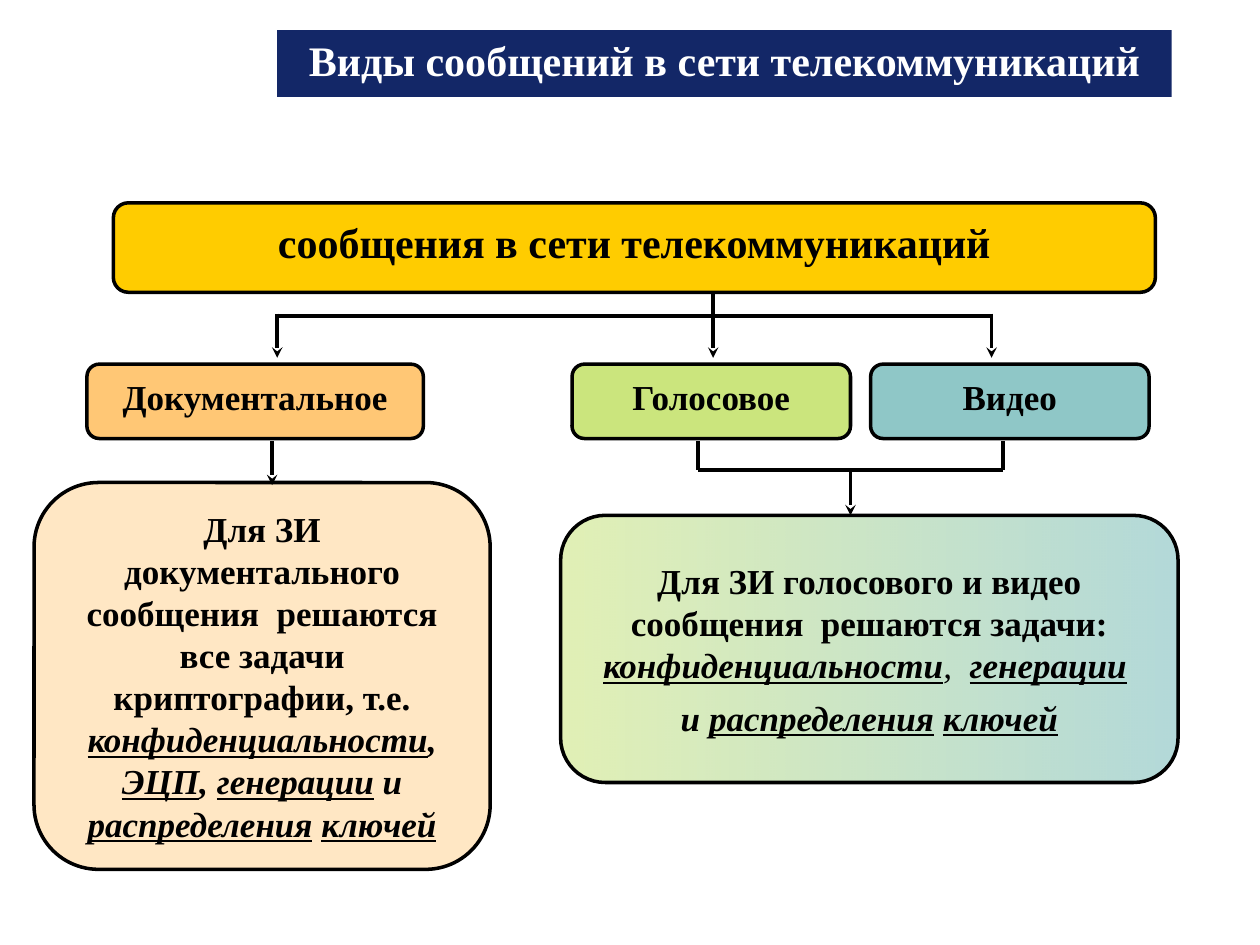
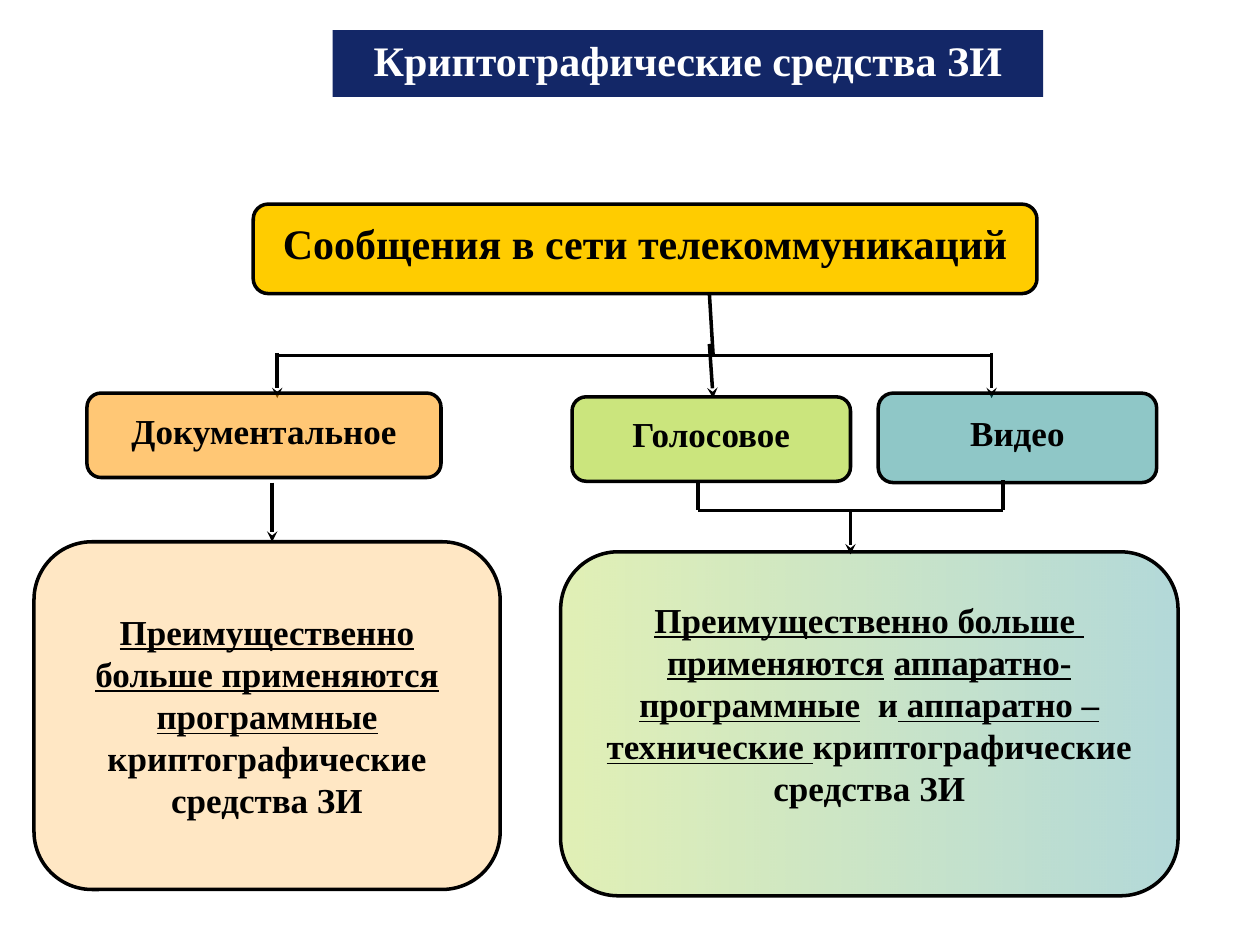
from dataclasses import dataclass
from typing import NamedTuple

from lxml.etree import SubElement
from pptx import Presentation
from pptx.dml.color import RGBColor
from pptx.enum.shapes import MSO_CONNECTOR as Connector
from pptx.enum.shapes import MSO_SHAPE as Preset
from pptx.enum.text import MSO_ANCHOR as Anchor
from pptx.enum.text import PP_ALIGN as Align
from pptx.oxml.ns import qn
from pptx.util import Inches, Pt

# Slide grid: 100 columns by 75 rows
WIDTH, HEIGHT = Inches(10), Inches(7.5)
COLUMN, ROW = WIDTH / 100, HEIGHT / 75

COLORS = {
    "navy": "132767",
    "white": "FFFFFF",
    "black": "000000",
    "yellow": "FFCC00",
    "orange": "FF9900",
    "green": "99CC00",
    "teal": "008080",
}
SERIF, SANS = "Times New Roman", "Arial"
LINE_WIDTH = Pt(2)


class Fill(NamedTuple):
    color: str
    opacity: int = 100


class Area(NamedTuple):
    left: float
    top: float
    width: float
    height: float


class Point(NamedTuple):
    column: float
    row: float


class Piece(NamedTuple):
    """Text with style letters: b bold, i italic, u underlined, s sans navy."""
    text: str
    style: str = "b"


@dataclass(frozen=True)
class BoxStyle:
    fills: tuple[Fill, ...]
    size: int = 20
    spacing: float = 1.0
    text_color: str = "black"
    preset: Preset = Preset.ROUNDED_RECTANGLE
    anchor: Anchor = Anchor.MIDDLE
    padding: float = 0.5
    outlined: bool = True


@dataclass(frozen=True)
class Box:
    area: Area
    style: BoxStyle
    paragraphs: tuple[tuple[Piece, ...], ...]
    extra_bottom: float = 0


@dataclass(frozen=True)
class Scheme:
    boxes: tuple[Box, ...]
    stem_top: Point
    middle_start: Point
    split_row: float
    split_tip: float
    document_rows: tuple[float, float]
    merge_rows: tuple[float, float, float]


TITLE = BoxStyle((Fill("navy"),), 24, 0.8, "white", Preset.RECTANGLE,
                 Anchor.BOTTOM, 1, False)
ROOT = BoxStyle((Fill("yellow"),), 24, 0.7)
DOCUMENT = BoxStyle((Fill("orange", 54),), spacing=0.7)
VOICE = BoxStyle((Fill("green", 51),), spacing=0.7)
VIDEO = BoxStyle((Fill("teal", 44),), spacing=0.7)
DOCUMENT_NOTE = BoxStyle((Fill("orange", 23),))
MEDIA_NOTE = BoxStyle((Fill("green", 29), Fill("teal", 30)))

# Columns of the branches
DOCUMENT_X, MIDDLE_X, VIDEO_X = 22, 56.6, 78.7
DOCUMENT_ARROW_X = 21.6
VOICE_OUT, MERGE_X, VIDEO_OUT = 55.4, 67.5, 79.6


def rgb(name: str) -> RGBColor:
    return RGBColor.from_string(COLORS[name])


def label(area: Area, style: BoxStyle, text: str) -> Box:
    return Box(area, style, ((Piece(text),),))


def paint(shape, fills: tuple[Fill, ...]) -> None:
    if len(fills) == 1:
        shape.fill.solid()
        shape.fill.fore_color.rgb = rgb(fills[0].color)
    else:
        shape.fill.gradient()
        shape.fill.gradient_angle = 0
        for stop, fill in zip(shape.fill.gradient_stops, fills):
            stop.color.rgb = rgb(fill.color)
    for color, fill in zip(shape.element.spPr.iter(qn("a:srgbClr")), fills):
        if fill.opacity < 100:
            SubElement(color, qn("a:alpha"), val=str(fill.opacity * 1000))


def write(paragraph, pieces: tuple[Piece, ...], style: BoxStyle) -> None:
    paragraph.alignment = Align.CENTER
    paragraph.line_spacing = style.spacing
    font = paragraph.font
    font.name, font.size, font.bold = SERIF, Pt(style.size), True
    font.color.rgb = rgb(style.text_color)
    for piece in pieces:
        run = paragraph.add_run()
        run.text = piece.text
        if "b" not in piece.style:
            run.font.bold = False
        if "i" in piece.style:
            run.font.italic = True
        if "u" in piece.style:
            run.font.underline = True
        if "s" in piece.style:
            run.font.name = SANS
            run.font.color.rgb = rgb("navy")


def draw_box(slide, box: Box) -> None:
    area, style = box.area, box.style
    shape = slide.shapes.add_shape(
        style.preset, round(area.left * COLUMN), round(area.top * ROW),
        round(area.width * COLUMN), round(area.height * ROW))
    shape.shadow.inherit = False
    paint(shape, style.fills)
    if style.outlined:
        shape.line.color.rgb = rgb("black")
        shape.line.width = LINE_WIDTH
    else:
        shape.line.fill.background()

    frame = shape.text_frame
    frame.word_wrap = True
    frame.vertical_anchor = style.anchor
    frame.margin_left = frame.margin_right = round(COLUMN)
    frame.margin_top = round(style.padding * ROW)
    frame.margin_bottom = round((style.padding + box.extra_bottom) * ROW)
    for index, pieces in enumerate(box.paragraphs):
        paragraph = frame.add_paragraph() if index else frame.paragraphs[0]
        if index:
            paragraph.space_before = Pt(6)
        write(paragraph, pieces, style)


def draw_line(slide, start: Point, end: Point, arrow: bool = False) -> None:
    connector = slide.shapes.add_connector(
        Connector.STRAIGHT, round(start.column * COLUMN), round(start.row * ROW),
        round(end.column * COLUMN), round(end.row * ROW))
    connector.line.color.rgb = rgb("black")
    connector.line.width = LINE_WIDTH
    properties = connector.element.spPr
    if arrow:
        SubElement(properties.find(qn("a:ln")), qn("a:tailEnd"), type="stealth")
    SubElement(properties, qn("a:effectLst"))


def draw_split(slide, scheme: Scheme) -> None:
    row = scheme.split_row
    draw_line(slide, scheme.stem_top, Point(MIDDLE_X, row))
    draw_line(slide, Point(DOCUMENT_X, row), Point(VIDEO_X, row))
    starts = (Point(DOCUMENT_X, row - 0.2), Point(VIDEO_X, row - 0.2),
              scheme.middle_start)
    for start, column in zip(starts, (DOCUMENT_X, VIDEO_X, MIDDLE_X)):
        draw_line(slide, start, Point(column, scheme.split_tip), True)


def draw_merge(slide, scheme: Scheme) -> None:
    top, bar, tip = scheme.merge_rows
    for column in (VOICE_OUT, VIDEO_OUT):
        draw_line(slide, Point(column, top), Point(column, bar))
        draw_line(slide, Point(column, bar), Point(MERGE_X, bar))
    draw_line(slide, Point(MERGE_X, bar), Point(MERGE_X, tip), True)


def draw_scheme(presentation, scheme: Scheme) -> None:
    slide = presentation.slides.add_slide(presentation.slide_layouts[6])
    draw_split(slide, scheme)
    for box in scheme.boxes:
        draw_box(slide, box)
    start, end = scheme.document_rows
    draw_line(slide, Point(DOCUMENT_ARROW_X, start),
              Point(DOCUMENT_ARROW_X, end), True)
    draw_merge(slide, scheme)


# Kinds of messages and the tasks for each
MESSAGE_KINDS = Scheme(
    boxes=(
        label(Area(22, 2.4, 71, 5.3), TITLE,
              "Виды сообщений в сети телекоммуникаций"),
        label(Area(9, 16.1, 82.7, 7.1), ROOT,
              "сообщения в сети телекоммуникаций"),
        label(Area(6.9, 28.9, 26.7, 5.9), DOCUMENT, "Документальное"),
        label(Area(45.4, 28.9, 22.1, 5.9), VOICE, "Голосовое"),
        label(Area(69.1, 28.9, 22.1, 5.9), VIDEO, "Видео"),
        Box(Area(2.7, 38.3, 36.2, 30.7), DOCUMENT_NOTE, ((
            Piece("Для ЗИ документального сообщения  решаются все задачи "
                  "криптографии, т.е. "),
            Piece("конфиденциальности", "biu"), Piece(", ", "bi"),
            Piece("ЭЦП", "biu"), Piece(", ", "bi"),
            Piece("генерации", "biu"), Piece(" и ", "bi"),
            Piece("распределения", "biu"), Piece(" ", "bi"),
            Piece("ключей", "biu")),)),
        Box(Area(44.5, 40.9, 49, 21.2), MEDIA_NOTE, (
            (Piece("Для ЗИ голосового и видео сообщения  решаются задачи: "),
             Piece("конфиденциальности", "biu"), Piece(",  ", "i"),
             Piece("генерации", "biu"), Piece(" ", "i")),
            (Piece("и ", "bi"), Piece("распределения", "biu"),
             Piece(" ", "i"), Piece("ключей", "biu")))),
    ),
    stem_top=Point(MIDDLE_X, 22.7),
    middle_start=Point(MIDDLE_X, 24.9),
    split_row=25.1,
    split_tip=28.4,
    document_rows=(35, 38.5),
    merge_rows=(35, 37.3, 40.9),
)

# Cryptographic means for each kind
CRYPTO_MEANS = Scheme(
    boxes=(
        label(Area(26.4, 2.4, 56.4, 5.3), TITLE, "Криптографические средства ЗИ"),
        label(Area(20.1, 16.2, 62.2, 7.1), ROOT,
              "Сообщения в сети телекоммуникаций"),
        label(Area(6.9, 31.2, 28.1, 6.7), DOCUMENT, "Документальное"),
        label(Area(45.4, 31.5, 22.1, 6.7), VOICE, "Голосовое"),
        label(Area(69.7, 31.2, 22.1, 7.1), VIDEO, "Видео"),
        Box(Area(2.7, 43, 37, 27.6), DOCUMENT_NOTE, ((
            Piece("Преимущественно больше применяются программные ", "bu"),
            Piece("криптографические средства ЗИ")),)),
        Box(Area(44.5, 43.8, 49, 27.3), MEDIA_NOTE, ((
            Piece("Преимущественно больше  применяются", "bu"),
            Piece(" ", "bs"), Piece("аппаратно-программные", "bu"),
            Piece("  и"), Piece(" аппаратно – технические ", "bu"),
            Piece("криптографические средства ЗИ")),), extra_bottom=3.2),
    ),
    stem_top=Point(56.3, 23.3),
    middle_start=Point(56.3, 27.3),
    split_row=28.2,
    split_tip=31.6,
    document_rows=(38.3, 43),
    merge_rows=(38.1, 40.5, 44),
)


def main() -> None:
    presentation = Presentation()
    presentation.slide_width, presentation.slide_height = WIDTH, HEIGHT
    for scheme in (MESSAGE_KINDS, CRYPTO_MEANS):
        draw_scheme(presentation, scheme)
    presentation.save("out.pptx")


if __name__ == "__main__":
    main()
